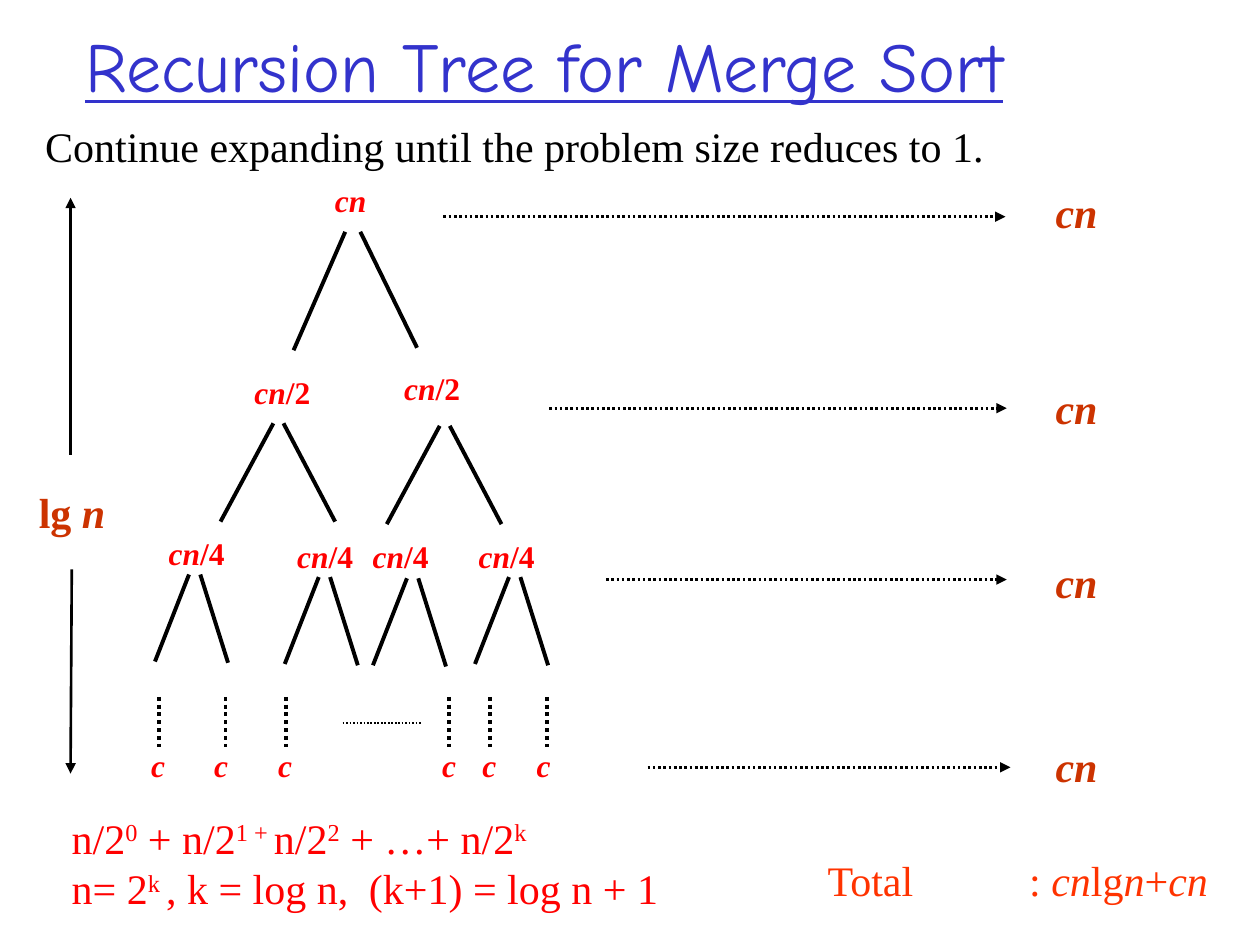
from lxml import etree
from pptx import Presentation
from pptx import util as u
from pptx.dml.color import RGBColor
from pptx.enum import dml, shapes, text
from pptx.oxml.ns import qn

PX = u.Inches(1) // 100  # 100 px to the inch
COLORS = {"title": "3333CC", "ink": "000000", "node": "FF0000",
          "cost": "CC3300", "total": "FF3300"}
SERIF = "Times New Roman"

# Each level: label suffix, label width, (label x, label y, fork x, fork y) of
# each node, left leg, gap between the legs, right leg
LEVELS = [
    ("", 46, [(146, 0, 164, 45)], (-41, 94), 12, (45, 92)),
    ("/2", 68, [(82, 152, 107, 197), (201, 149, 239, 199)],
     (-42, 78), 8, (41, 78)),
    ("/4", 68, [(14, 280, 40, 317), (116, 282, 143, 319),
                (176, 282, 213, 320), (260, 282, 294, 319)],
     (-27, 69), 9, (22, 70)),
]
# Leaves: label x, dotted line x
LEAVES = [(0, 16), (50, 69), (101, 117), (231, 246), (263, 279), (306, 324)]
# Cost rows: label y, arrow y, arrow start x, arrow end x
COSTS = [(0, 29, 0, 446), (156, 181, 84, 447),
         (294, 317, 129, 447), (440, 466, 162, 450)]


def add_text(parent, box, paras, size=24, color="ink", font=SERIF, bold=False,
             underline=False, wrap=False, grow=True, middle=False, tab=None):
    """Each paragraph lists runs: a string, or (string, "italic" / "super")."""
    sp = parent.add_textbox(*(v * PX for v in box))
    tf = sp.text_frame
    tf.word_wrap = wrap
    tf.auto_size = (text.MSO_AUTO_SIZE.SHAPE_TO_FIT_TEXT if grow
                    else text.MSO_AUTO_SIZE.NONE)
    tf.vertical_anchor = (text.MSO_ANCHOR.MIDDLE if middle
                          else text.MSO_ANCHOR.TOP)
    for i, runs in enumerate(paras):
        p = tf.paragraphs[0] if i == 0 else tf.add_paragraph()
        if tab:
            tabs = etree.SubElement(p._p.get_or_add_pPr(), qn("a:tabLst"))
            etree.SubElement(tabs, qn("a:tab"), pos=str(tab * PX), algn="l")
        for run in runs:
            words, style = (run, "") if isinstance(run, str) else run
            r = p.add_run()
            r.text = words
            f = r.font
            f.name, f.size, f.bold = font, u.Pt(size), bold
            f.italic = style == "italic"
            f.underline = underline
            f.color.rgb = RGBColor.from_string(COLORS[color])
            if style == "super":
                r._r.get_or_add_rPr().set("baseline", "30000")
    return sp


def add_line(parent, x1, y1, x2, y2, width=2.25, dotted=False, arrow=False):
    c = parent.add_connector(shapes.MSO_CONNECTOR.STRAIGHT,
                             x1 * PX, y1 * PX, x2 * PX, y2 * PX)
    c.line.width = u.Pt(width)
    c.line.color.rgb = RGBColor.from_string(COLORS["ink"])
    if dotted:
        c.line.dash_style = dml.MSO_LINE.ROUND_DOT
    if arrow:
        etree.SubElement(c._element.spPr.get_or_add_ln(), qn("a:tailEnd"),
                         type="triangle")
    etree.SubElement(c._element.spPr, qn("a:effectLst"))
    return c


def add_heading(s, x, y):
    add_text(s.shapes, (x + 32, y, 850, 53), [["Recursion Tree for Merge Sort"]],
             size=40, color="title", font="Comic Neue", underline=True,
             wrap=True, grow=False, middle=True)
    add_text(s.shapes, (x, y + 66, 765, 50),
             [["Continue expanding until the problem size reduces to 1."]])


def add_tree(s, x, y):
    g = s.shapes.add_group_shape().shapes
    node = {"size": 18, "color": "node", "bold": True}

    # Nodes with two branches each
    for suffix, w, nodes, (lx, ly), gap, (rx, ry) in LEVELS:
        for nx, ny, fx, fy in nodes:
            runs = [("cn", "italic")] + ([suffix] if suffix else [])
            add_text(g, (x + nx, y + ny, w, 40), [runs], **node)
            ax, ay = x + fx, y + fy
            add_line(g, ax, ay, ax + lx, ay + ly)
            add_line(g, ax + gap, ay, ax + gap + rx, ay + ry)

    # Leaves below dotted lines
    for label_x, line_x in LEAVES:
        add_line(g, x + line_x, y + 414, x + line_x, y + 454, dotted=True)
        add_text(g, (x + label_x, y + 448, 32, 40), [[("c", "italic")]], **node)
    add_line(g, x + 162, y + 435, x + 224, y + 435, width=1, dotted=True)


def add_height(s, x, y):
    add_line(s.shapes, x + 35, y + 204, x + 35, y, width=1.5, arrow=True)
    add_text(s.shapes, (x, y + 224, 73, 50), [["lg ", ("n", "italic")]],
             color="cost", bold=True)
    add_line(s.shapes, x + 36, y + 295, x + 35, y + 457, width=1.5, arrow=True)


def add_costs(s, x, y):
    for label_y, arrow_y, start, end in COSTS:
        add_line(s.shapes, x + start, y + arrow_y, x + end, y + arrow_y,
                 width=1.5, dotted=True, arrow=True)
        add_text(s.shapes, (x + 476, y + label_y, 53, 50),
                 [[("cn", "italic")]], color="cost", bold=True)


def add_sums(s, x, y):
    add_text(s.shapes, (x, y, 551, 90), [
        ["n/2", ("0", "super"), " + n/2", ("1 + ", "super"), "n/2",
         ("2", "super"), " + …+ n/2", ("k", "super")],
        ["n= 2", ("k ", "super"), ", k = log n,\t(k+1) = log n + 1"],
    ], color="node", wrap=True, tab=236)
    add_text(s.shapes, (x + 600, y + 33, 326, 50), [
        ["Total\t: ", ("cn", "italic"), "lg", ("n", "italic"), "+",
         ("cn", "italic")],
    ], color="total", wrap=True, tab=160)


def main():
    prs = Presentation()
    prs.slide_width, prs.slide_height = 1000 * PX, 750 * PX
    s = prs.slides.add_slide(prs.slide_layouts[6])
    add_heading(s, 26, 25)
    add_tree(s, 110, 139)
    add_costs(s, 352, 143)
    add_height(s, 21, 157)
    add_sums(s, 47, 640)
    prs.save("out.pptx")


if __name__ == "__main__":
    main()
